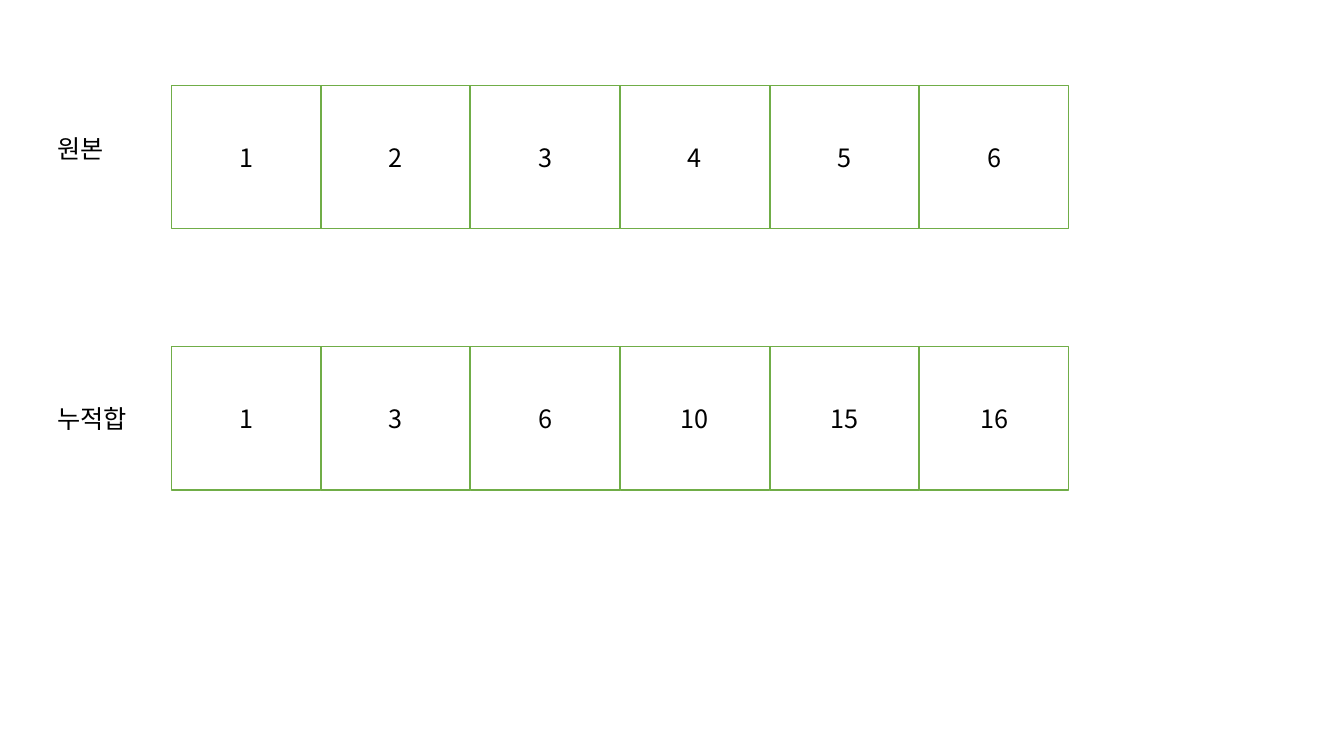
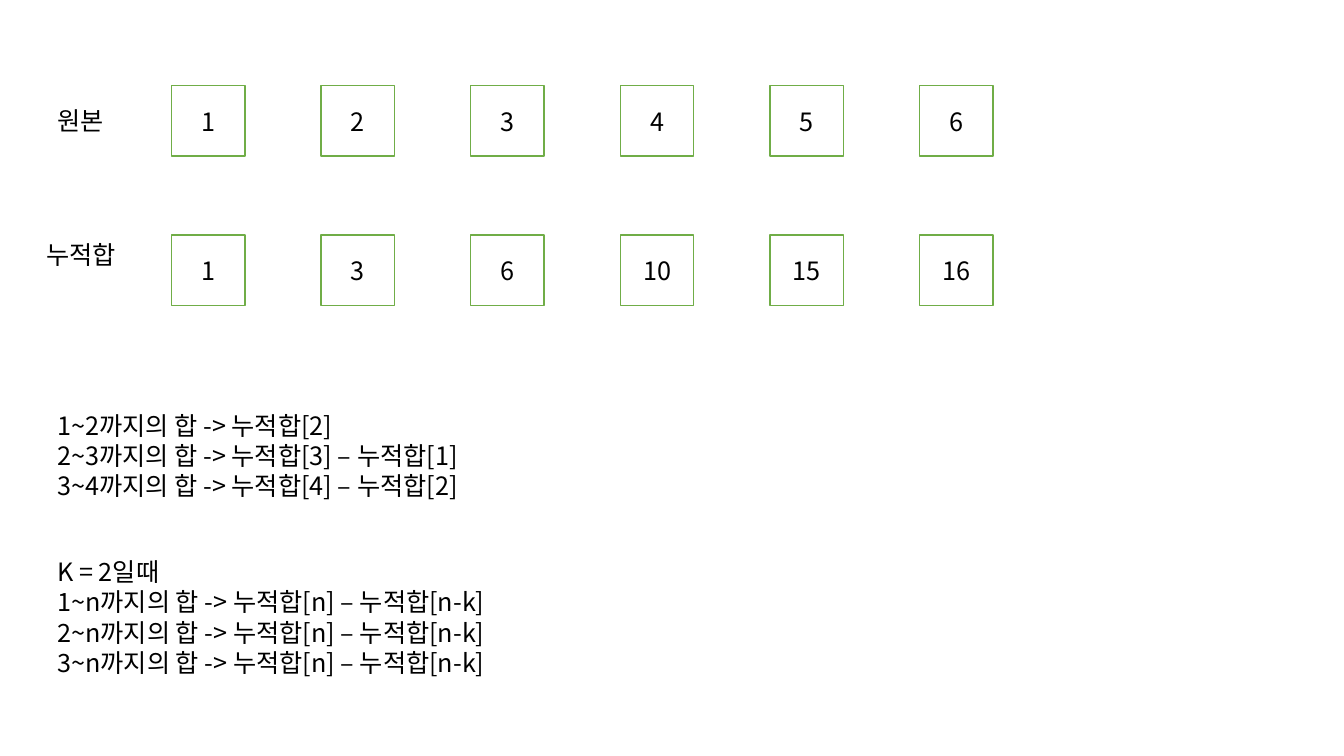
from lxml import etree
from pptx import Presentation
from pptx.dml.color import RGBColor
from pptx.enum.shapes import MSO_SHAPE
from pptx.enum.text import MSO_ANCHOR, MSO_AUTO_SIZE, PP_ALIGN
from pptx.oxml.ns import qn
from pptx.util import Inches, Pt

RECTANGLE = MSO_SHAPE.RECTANGLE
MIDDLE = MSO_ANCHOR.MIDDLE
GROW = MSO_AUTO_SIZE.SHAPE_TO_FIT_TEXT
LEFT, CENTER = PP_ALIGN.LEFT, PP_ALIGN.CENTER

WHITE = RGBColor(0xFF, 0xFF, 0xFF)
BLACK = RGBColor(0x00, 0x00, 0x00)
GREEN = RGBColor(0x70, 0xAD, 0x47)
FONT = "Noto Sans CJK KR"

ROW_LEFT = 1.7
COLUMN_STEP = 1.484
TEXT_LEFT = 0.47
LABEL_HEIGHT = 0.4

NUMBERS = [1, 2, 3, 4, 5, 6]
PREFIX_SUMS = [1, 3, 6, 10, 15, 16]


class ArrayDeck:
    """Shared style, and the slide being drawn."""

    def __init__(self):
        self.deck = Presentation()
        self.deck.slide_width = Inches(13.33)
        self.deck.slide_height = Inches(7.5)
        self.page = None

    def new_page(self):
        self.page = self.deck.slides.add_slide(self.deck.slide_layouts[6])
        fill = self.page.background.fill
        fill.solid()
        fill.fore_color.rgb = WHITE

    def set_text(self, frame, lines, align):
        frame.word_wrap = True
        frame.text = "\n".join(lines)
        for para in frame.paragraphs:
            para.alignment = align
            font = para.font
            font.size = Pt(18)
            font.name = FONT
            font.color.rgb = BLACK
            # Korean glyphs take the East Asian typeface
            defaults = para._p.pPr.find(qn("a:defRPr"))
            etree.SubElement(defaults, qn("a:ea"), typeface=FONT)

    def text(self, left, top, width, height, *lines):
        box = self.page.shapes.add_textbox(
            Inches(left), Inches(top), Inches(width), Inches(height))
        self.set_text(box.text_frame, lines, LEFT)
        box.text_frame.auto_size = GROW

    def cell(self, left, top, width, height, value):
        box = self.page.shapes.add_shape(
            RECTANGLE, Inches(left), Inches(top), Inches(width), Inches(height))
        box.shadow.inherit = False
        box.fill.solid()
        box.fill.fore_color.rgb = WHITE
        box.line.color.rgb = GREEN
        box.line.width = Pt(1)
        box.text_frame.vertical_anchor = MIDDLE
        self.set_text(box.text_frame, [str(value)], CENTER)

    def array(self, top, width, height, values):
        for column, value in enumerate(values):
            self.cell(ROW_LEFT + column * COLUMN_STEP, top, width, height, value)


slides = ArrayDeck()

# Slide 1: the array and its prefix sums, cells touching
slides.new_page()
for top, values in ((0.85, NUMBERS), (3.44, PREFIX_SUMS)):
    slides.array(top, 1.48, 1.42, values)
slides.text(TEXT_LEFT, 1.27, 0.97, LABEL_HEIGHT, "원본")
slides.text(TEXT_LEFT, 3.95, 0.97, LABEL_HEIGHT, "누적합")

# Slide 2: the same arrays in small cells
slides.new_page()
for top, values in ((0.85, NUMBERS), (2.33, PREFIX_SUMS)):
    slides.array(top, 0.73, 0.7, values)
slides.text(TEXT_LEFT, 1, 0.73, LABEL_HEIGHT, "원본")
slides.text(0.36, 2.33, 1.04, LABEL_HEIGHT, "누적합")

# Slide 2: range sums, then the general rule
slides.text(TEXT_LEFT, 4.02, 7.71, 1.01,
            "1~2까지의 합 -> 누적합[2]",
            "2~3까지의 합 -> 누적합[3] – 누적합[1]",
            "3~4까지의 합 -> 누적합[4] – 누적합[2]")
slides.text(TEXT_LEFT, 5.47, 7.71, 1.31,
            "K = 2일때",
            *(f"{start}~n까지의 합 -> 누적합[n] – 누적합[n-k]" for start in (1, 2, 3)))

slides.deck.save("out.pptx")
